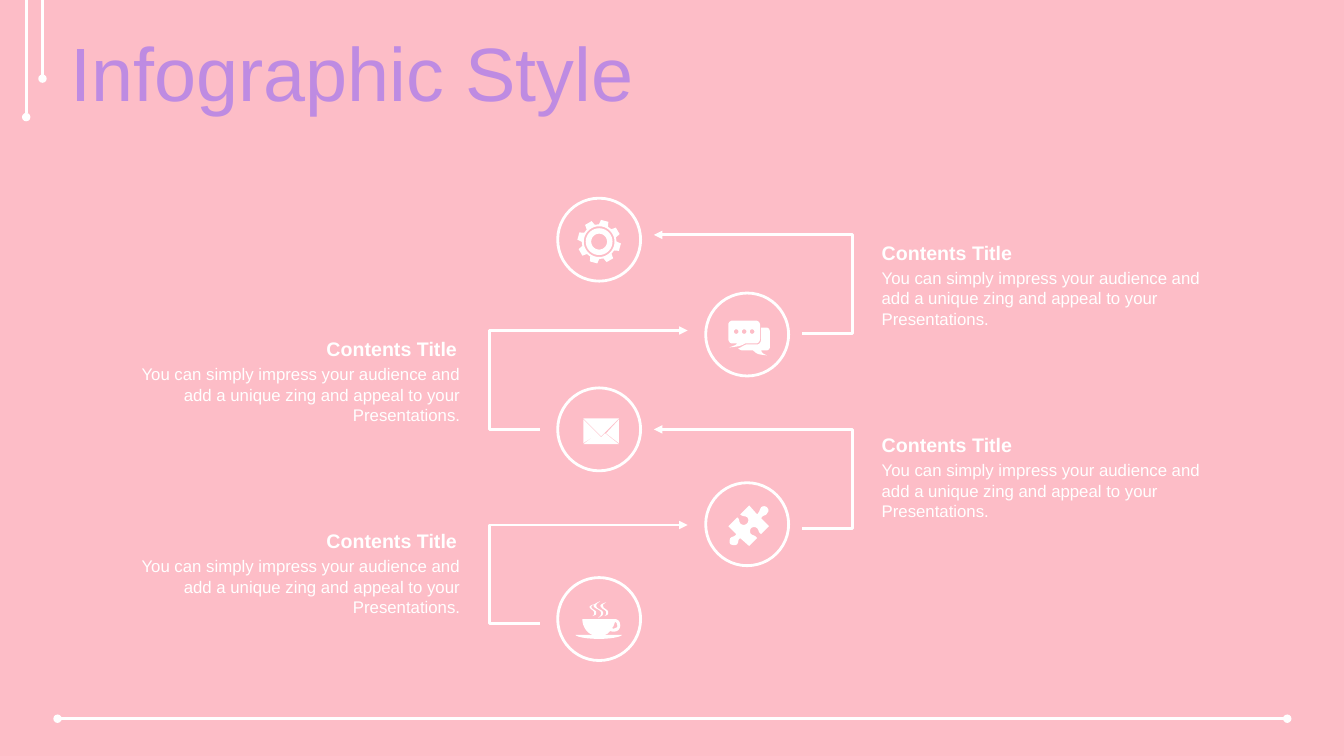
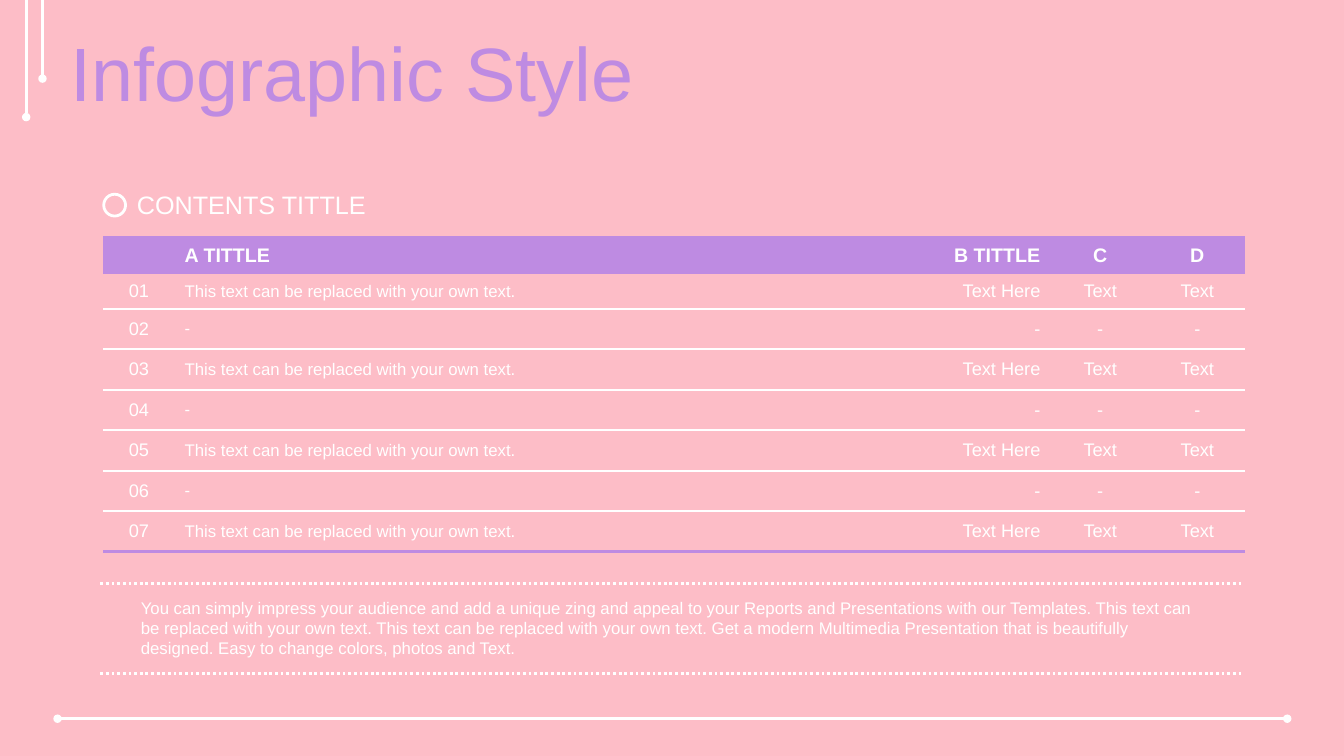
import dataclasses
import math
import typing

import lxml.etree
import pptx
import pptx.dml.color
import pptx.enum.dml
import pptx.enum.shapes
import pptx.enum.text
import pptx.oxml.ns
import pptx.util

Cm = pptx.util.Cm
Pt = pptx.util.Pt
qn = pptx.oxml.ns.qn
Align = pptx.enum.text.PP_ALIGN
Point = tuple[float, float]
Box = tuple[float, float, float, float]


@dataclasses.dataclass(frozen=True)
class Theme:
    background: str = "FDBDC7"
    accent: str = "BE8BE2"
    white: str = "FFFFFF"
    font: str = "Arial"
    title: float = 54
    section: float = 18
    heading: float = 14
    cell: float = 13
    body: float = 12
    line: float = 2
    row_border: float = 1.5
    last_border: float = 2.25


@dataclasses.dataclass(frozen=True)
class Rule:
    start: Point
    end: Point
    head: str | None = None
    tail: str | None = None
    dotted: bool = False


@dataclasses.dataclass(frozen=True)
class Step:
    on_right: bool
    arrow_top: float


@dataclasses.dataclass(frozen=True)
class Column:
    header: str
    width: float
    alignment: Align
    size: float


THEME = Theme()
SLIDE_WIDTH, SLIDE_HEIGHT = 33.87, 19.05
FRAME = [
    Rule((1.45, 18.11), (32.44, 18.11), head="oval", tail="oval"),
    Rule((0.66, 0), (0.66, 2.95), tail="oval"),
    Rule((1.07, 0), (1.07, 1.98), tail="oval"),
]
STEPS = [Step(True, 5.92), Step(False, 8.33), Step(True, 10.82), Step(False, 13.23)]
STEP_TEXT = "You can simply impress your audience and add a unique zing and appeal to your Presentations."
NOTE_TEXT = (
    "You can simply impress your audience and add a unique zing and appeal to your Reports and "
    "Presentations with our Templates. This text can be replaced with your own text. This text can be "
    "replaced with your own text. Get a modern Multimedia Presentation that is beautifully designed. "
    "Easy to change colors, photos and Text."
)
COLUMNS = [
    Column("", 1.8, Align.CENTER, THEME.cell),
    Column("A TITTLE", 14.78, Align.LEFT, THEME.body),
    Column("B TITTLE", 7.29, Align.RIGHT, THEME.cell),
    Column("C", 2.51, Align.CENTER, THEME.cell),
    Column("D", 2.39, Align.CENTER, THEME.cell),
]
ROW_HEIGHTS = [0.96, 0.87] + [1.02] * 6
FULL_ROW = ["This text can be replaced with your own text.", "Text Here", "Text", "Text"]
EMPTY_ROW = ["-"] * 4

ICON_UNIT = 0.025
CHAT = """
M 14 -7 L 19 -7 C 22 -7 23 -5 23 -2 L 23 12 C 23 14 22 16 19 16 L 14 16 C 15 18 15 19 20 21
C 11 20 10 20 6 16 L -5 16 C -6 16 -8 15 -9 14 C -6 13 -4 11 -1 10 L 10 10 C 12 10 14 8 14 5
M -15 -14 L 9 -14 C 11 -14 13 -12 13 -10 L 13 4 C 13 7 11 9 9 9 L -2 9 C -7 12 -9 12 -18 13
C -13 11 -12 11 -10 9 L -15 9 C -17 9 -19 7 -19 4 L -19 -10 C -19 -12 -17 -14 -15 -14
"""
ENVELOPE = """
M 6 4 L 20 15 L -16 15 L -2 4 L 2 8 M 20 -10 L 20 14 L 7 4
M -16 -10 L -2 4 L -16 14 M -16 -11 L 20 -11 L 2 7
"""
PUZZLE = """
M 20 -17 C 22 -15 22 -13 20 -11 C 19 -8 16 -10 14 -6 L 22 2 L 14 10 C 11 8 12 6 10 4
C 8 2 5 3 4 4 C 3 5 2 8 4 10 C 7 12 8 11 10 14 L 2 22 L -7 14 C -10 16 -8 17 -10 20
C -12 22 -15 21 -17 20 C -18 19 -18 16 -17 14 C -15 12 -13 13 -11 10 L -19 2 L -10 -7
C -7 -5 -9 -2 -6 0 C -4 1 -2 1 0 -1 C 1 -2 2 -5 0 -7 C -3 -9 -4 -7 -7 -10 L 2 -19
L 10 -10 C 13 -13 12 -14 14 -17 C 16 -19 19 -18 20 -17
"""
CUP = """
M 16 3 C 15 5 15 7 13 9 C 14 10 15 10 16 9 C 18 9 19 7 18 6 C 18 4 17 3 16 3
M 16 0 C 18 0 21 2 21 5 C 22 8 20 11 18 12 C 16 13 13 13 11 12 C 10 13 9 14 8 15
C 7 15 6 16 5 16 L 23 16 C 22 18 12 20 0 20 C -13 20 -23 18 -24 16 L -6 16
C -7 16 -8 15 -9 15 C -14 12 -17 6 -17 0
M -5 -15 C -7 -14 -8 -13 -8 -12 C -7 -9 -2 -9 -3 -6 C -3 -4 -4 -4 -7 -3
C -5 -4 -5 -5 -5 -6 C -5 -9 -8 -9 -9 -11 C -11 -12 -9 -14 -5 -15
M 7 -17 C 5 -15 3 -15 4 -13 C 4 -10 10 -10 9 -6 C 9 -4 8 -4 5 -3
C 7 -4 7 -5 7 -7 C 7 -9 3 -10 2 -12 C 0 -14 2 -15 7 -17
M 1 -18 C -1 -16 -3 -16 -3 -13 C -2 -9 5 -10 4 -5 C 3 -3 2 -3 -1 -1
C 1 -3 2 -4 2 -6 C 2 -9 -3 -10 -5 -12 C -7 -14 -4 -16 1 -18
"""


def rgb(color: str) -> pptx.dml.color.RGBColor:
    return pptx.dml.color.RGBColor.from_string(color)


def polar(radius: float, degrees: float, center: Point) -> Point:
    angle = math.radians(degrees)
    return center[0] + radius * math.sin(angle), center[1] - radius * math.cos(angle)


def circle(radius: float, center: Point) -> list[Point]:
    return [polar(radius, degrees, center) for degrees in range(0, 360, 10)]


def gear_contours() -> list[list[Point]]:
    center = (0, 2)
    tooth = [(17.5, -15.5), (22, -10), (22, 10), (17.5, 15.5)]
    teeth = [polar(radius, 15 + 45 * index + turn, center) for index in range(8) for radius, turn in tooth]
    return [teeth] + [circle(radius, center) for radius in (15.5, 13.5, 8)]


def curve_contours(outline: str) -> list[list[Point]]:
    tokens = iter(outline.split())
    contours: list[list[Point]] = []
    for command in tokens:
        count = 3 if command == "C" else 1
        points = [(float(next(tokens)), float(next(tokens))) for _ in range(count)]
        if command == "M":
            contours.append(points)
        elif command == "L":
            contours[-1] += points
        else:
            controls = [contours[-1][-1], *points]
            for part in range(1, 7):
                t = part / 6
                weights = [math.comb(3, k) * t**k * (1 - t) ** (3 - k) for k in range(4)]
                contours[-1].append(tuple(sum(w * p[axis] for w, p in zip(weights, controls)) for axis in (0, 1)))
    return contours


def add_outline(slide, contours: list[list[Point]], closed: bool):
    scaled = [[(Cm(x), Cm(y)) for x, y in contour] for contour in contours]
    builder = slide.shapes.build_freeform(*scaled[0][0], scale=1.0)
    for index, contour in enumerate(scaled):
        if index:
            builder.move_to(*contour[0])
        builder.add_line_segments(contour[1:], close=closed)
    shape = builder.convert_to_shape()
    shape.shadow.inherit = False
    return shape


def style_line(shape) -> None:
    shape.line.color.rgb = rgb(THEME.white)
    shape.line.width = Pt(THEME.line)


def add_line_end(shape, tag: str, kind: str) -> None:
    lxml.etree.SubElement(shape.element.spPr.get_or_add_ln(), qn(tag), type=kind)


def add_rule(slide, rule: Rule) -> None:
    ends = [Cm(value) for value in rule.start + rule.end]
    connector = slide.shapes.add_connector(pptx.enum.shapes.MSO_CONNECTOR.STRAIGHT, *ends)
    style_line(connector)
    if rule.dotted:
        connector.line.dash_style = pptx.enum.dml.MSO_LINE.ROUND_DOT
    for tag, kind in (("a:headEnd", rule.head), ("a:tailEnd", rule.tail)):
        if kind:
            add_line_end(connector, tag, kind)
    lxml.etree.SubElement(connector.element.spPr, qn("a:effectLst"))


def add_ring(slide, center: Point, diameter: float) -> None:
    left, top = (Cm(value - diameter / 2) for value in center)
    ring = slide.shapes.add_shape(pptx.enum.shapes.MSO_SHAPE.OVAL, left, top, Cm(diameter), Cm(diameter))
    ring.shadow.inherit = False
    ring.fill.background()
    style_line(ring)


def format_paragraph(paragraph, size: float, alignment=Align.LEFT, bold=False, color: str = THEME.white) -> None:
    paragraph.alignment = alignment
    for run in paragraph.runs:
        run.font.name = THEME.font
        run.font.size = Pt(size)
        run.font.bold = bold
        run.font.color.rgb = rgb(color)
    if not paragraph.runs:
        lxml.etree.SubElement(paragraph._p, qn("a:endParaRPr"), sz=str(round(size * 100)))


def add_text(slide, text: str, box: Box, size: float, **style: typing.Any):
    text_frame = slide.shapes.add_textbox(*(Cm(value) for value in box)).text_frame
    text_frame.word_wrap = True
    text_frame.text = text
    format_paragraph(text_frame.paragraphs[0], size, **style)
    return text_frame


def add_framed_slide(presentation, title: str):
    slide = presentation.slides.add_slide(presentation.slide_layouts[6])
    for rule in FRAME:
        add_rule(slide, rule)
    text_frame = add_text(slide, title, (1.53, 0.94, 32.33, 2.01), THEME.title, color=THEME.accent)
    text_frame.vertical_anchor = pptx.enum.text.MSO_ANCHOR.MIDDLE
    text_frame.paragraphs[0].line_spacing = 0.9
    text_frame.paragraphs[0].space_before = Pt(10)
    return slide


def add_step(slide, index: int, step: Step) -> None:
    tip, bend, foot = (16.48, 21.48, 20.22) if step.on_right else (17.33, 12.33, 13.61)
    top, bottom = step.arrow_top, step.arrow_top + 2.49
    arrow = add_outline(slide, [[(tip, top), (bend, top), (bend, bottom), (foot, bottom)]], closed=False)
    arrow.fill.background()
    style_line(arrow)
    add_line_end(arrow, "a:headEnd", "triangle")

    left = 21.97 if step.on_right else 3.16
    side = Align.LEFT if step.on_right else Align.RIGHT
    heading_top = 5.94 + 2.42 * index
    add_text(slide, STEP_TEXT, (left, heading_top + 0.69, 8.69, 1.8), THEME.body, alignment=side)
    heading_box = (left - 0.05, heading_top, 8.71, 0.86)
    heading = add_text(slide, "Contents Title", heading_box, THEME.heading, alignment=side, bold=True)
    heading.margin_left = heading.margin_right = Cm(0.3)


def add_steps_slide(presentation) -> None:
    slide = add_framed_slide(presentation, "Infographic Style")
    chat_dots = [circle(2.3, (x, -3)) for x in (-11, -3, 5)]
    curves = [curve_contours(outline) for outline in (CHAT, ENVELOPE, PUZZLE, CUP)]
    curves[0] += chat_dots
    for index, icon in enumerate([gear_contours(), *curves]):
        center_x, center_y = (15.1, 18.83)[index % 2], 6.04 + 2.39 * index
        add_ring(slide, (center_x, center_y), 2.09)
        placed = [[(center_x + x * ICON_UNIT, center_y + y * ICON_UNIT) for x, y in contour] for contour in icon]
        shape = add_outline(slide, placed, closed=True)
        shape.fill.solid()
        shape.fill.fore_color.rgb = rgb(THEME.white)
        shape.line.fill.background()
    for index, step in enumerate(STEPS):
        add_step(slide, index, step)


def set_bottom_border(cell, color: str, width: float) -> None:
    border = lxml.etree.Element(qn("a:lnB"), w=str(Pt(width)))
    fill = lxml.etree.SubElement(border, qn("a:solidFill"))
    lxml.etree.SubElement(fill, qn("a:srgbClr"), val=color)
    cell._tc.get_or_add_tcPr().insert(0, border)


def add_contents_table(slide) -> None:
    rows = [[column.header for column in COLUMNS]]
    rows += [[f"{number:02}", *(FULL_ROW if number % 2 else EMPTY_ROW)] for number in range(1, len(ROW_HEIGHTS))]
    box = (2.6, 5.95, sum(column.width for column in COLUMNS), sum(ROW_HEIGHTS))
    table = slide.shapes.add_table(len(rows), len(COLUMNS), *(Cm(value) for value in box)).table
    table.horz_banding = False
    table._tbl.tblPr.find(qn("a:tableStyleId")).text = "{2D5ABB26-0587-4C30-8999-92F81FD0307C}"
    for column_index, column in enumerate(COLUMNS):
        table.columns[column_index].width = Cm(column.width)
    for row_index, (values, row_height) in enumerate(zip(rows, ROW_HEIGHTS)):
        table.rows[row_index].height = Cm(row_height)
        is_header, is_last = row_index == 0, row_index == len(rows) - 1
        for column_index, (value, column) in enumerate(zip(values, COLUMNS)):
            cell = table.cell(row_index, column_index)
            cell.text_frame.text = value
            cell.vertical_anchor = pptx.enum.text.MSO_ANCHOR.MIDDLE
            size = THEME.heading if is_header else column.size
            format_paragraph(cell.text_frame.paragraphs[0], size, column.alignment, bold=is_header)
            if is_header:
                cell.fill.solid()
                cell.fill.fore_color.rgb = rgb(THEME.accent)
                continue
            cell.fill.background()
            color, width = (THEME.accent, THEME.last_border) if is_last else (THEME.white, THEME.row_border)
            set_bottom_border(cell, color, width)


def add_table_slide(presentation) -> None:
    slide = add_framed_slide(presentation, "Infographic Style")
    add_contents_table(slide)
    add_text(slide, NOTE_TEXT, (3.3, 14.94, 27.31, 1.8), THEME.body)
    for top in (14.71, 16.97):
        add_rule(slide, Rule((2.53, top), (31.33, top), dotted=True))
    add_text(slide, "CONTENTS TITTLE", (3.2, 4.65, 8, 1.02), THEME.section)
    add_ring(slide, (2.89, 5.17), 0.55)


def main() -> None:
    presentation = pptx.Presentation()
    presentation.slide_width, presentation.slide_height = Cm(SLIDE_WIDTH), Cm(SLIDE_HEIGHT)
    background = presentation.slide_master.background.fill
    background.solid()
    background.fore_color.rgb = rgb(THEME.background)
    add_steps_slide(presentation)
    add_table_slide(presentation)
    presentation.save("out.pptx")


if __name__ == "__main__":
    main()
